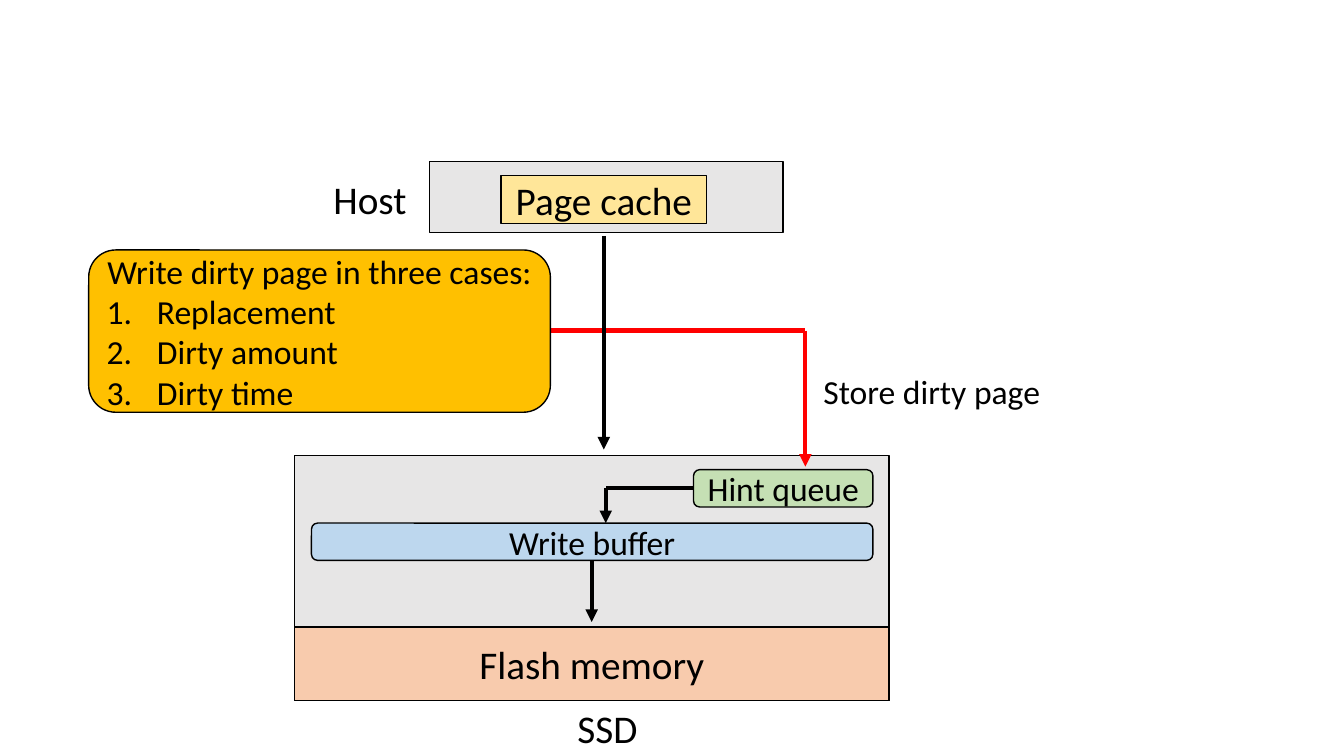
from lxml import etree
from pptx import Presentation
from pptx.dml.color import RGBColor
from pptx.enum.shapes import MSO_CONNECTOR as Connector
from pptx.enum.shapes import MSO_SHAPE as Shape
from pptx.enum.text import MSO_ANCHOR as Anchor
from pptx.enum.text import MSO_AUTO_SIZE as AutoSize
from pptx.enum.text import PP_ALIGN as Align
from pptx.oxml.ns import qn
from pptx.util import Inches, Pt

COLUMNS, ROWS = 160, 90
UNIT = Inches(13.333) / COLUMNS

BLACK = RGBColor(0x00, 0x00, 0x00)
RED = RGBColor(0xFF, 0x00, 0x00)
GREY = RGBColor(0xE7, 0xE6, 0xE6)
YELLOW = RGBColor(0xFF, 0xE6, 0x99)
AMBER = RGBColor(0xFF, 0xC0, 0x00)
BLUE = RGBColor(0xBD, 0xD7, 0xEE)
PEACH = RGBColor(0xF8, 0xCB, 0xAD)
GREEN = RGBColor(0xC5, 0xE0, 0xB4)

LARGE, MEDIUM = 28, 24
BUS_LEFT, BUS_RIGHT, BUS_ROW = 65.52, 95.88, 39.36
SSD_LEFT, SSD_WIDTH = 35.04, 70.8
HINT_LEFT, HINT_ROW = 82.56, 58.08
BUFFER_TOP, BUFFER_BOTTOM = 62.28, 66.72
DROP = 72.12


def grid(*lengths):
    return [round(length * UNIT) for length in lengths]


def apply(target, values):
    for name, value in values.items():
        setattr(target, name, value)


def write(para, text, size):
    span = para.add_run()
    span.text = text
    apply(span.font, {"name": "Calibri", "size": Pt(size)})
    span.font.color.rgb = BLACK


def add_box(page, place, fill, text="", size=LARGE, kind=Shape.RECTANGLE):
    box = page.shapes.add_shape(kind, *grid(*place))
    box.shadow.inherit = False
    box.fill.solid()
    box.fill.fore_color.rgb = fill
    box.line.color.rgb = BLACK
    box.line.width = Pt(1)
    frame = box.text_frame
    apply(frame, {"word_wrap": True, "vertical_anchor": Anchor.MIDDLE})
    if text:
        para = frame.paragraphs[0]
        para.alignment = Align.CENTER
        write(para, text, size)
    return box


def add_numbered(box, items, size):
    for item in items:
        para = box.text_frame.add_paragraph()
        para.alignment = Align.LEFT
        write(para, item, size)
        properties = para._p.get_or_add_pPr()
        properties.set("marL", str(Inches(0.5)))
        properties.set("indent", str(-Inches(0.5)))
        etree.SubElement(properties, qn("a:buFont"), typeface="+mj-lt")
        etree.SubElement(properties, qn("a:buAutoNum"), type="arabicPeriod")


def add_label(page, place, text, size):
    frame = page.shapes.add_textbox(*grid(*place)).text_frame
    apply(frame, {"word_wrap": True, "auto_size": AutoSize.SHAPE_TO_FIT_TEXT})
    write(frame.paragraphs[0], text, size)


def add_line(page, ends, color=BLACK, arrow=True):
    line = page.shapes.add_connector(Connector.STRAIGHT, *grid(*ends))
    line.line.color.rgb = color
    line.line.width = Pt(3)
    if arrow:
        etree.SubElement(line.line._get_or_add_ln(), qn("a:tailEnd"), type="triangle")
    etree.SubElement(line._element.spPr, qn("a:effectLst"))


def main():
    deck = Presentation()
    apply(deck, {"slide_width": round(COLUMNS * UNIT), "slide_height": round(ROWS * UNIT)})
    page = deck.slides.add_slide(deck.slide_layouts.get_by_name("Blank"))

    add_line(page, (BUS_LEFT, BUS_ROW, BUS_RIGHT, BUS_ROW), RED, arrow=False)
    add_box(page, (51.12, 19.2, 42.12, 8.52), GREY)
    add_label(page, (38.52, 20.28, 12.24, 6.84), "Host", LARGE)
    add_box(page, (59.64, 20.88, 24.48, 5.76), YELLOW, "Page cache")
    add_line(page, (71.88, 28.08, 71.88, 53.52))

    cases = add_box(page, (10.56, 29.76, 54.96, 19.32), AMBER,
                    "Write dirty page in three cases:", MEDIUM, Shape.ROUNDED_RECTANGLE)
    add_numbered(cases, ("Replacement", "Dirty amount", "Dirty time"), MEDIUM)

    add_box(page, (SSD_LEFT, 54.24, SSD_WIDTH, 29.16), GREY)
    add_label(page, (67.56, 83.28, 10.68, 6.84), "SSD", LARGE)
    add_line(page, (BUS_RIGHT, BUS_ROW, BUS_RIGHT, 55.56), RED)
    add_label(page, (96.84, 43.56, 31.08, 6), "Store dirty page", MEDIUM)

    add_box(page, (37.08, BUFFER_TOP, 66.84, BUFFER_BOTTOM - BUFFER_TOP), BLUE,
            "Write buffer", MEDIUM, Shape.ROUNDED_RECTANGLE)
    add_line(page, (HINT_LEFT, HINT_ROW, DROP, HINT_ROW), arrow=False)
    add_line(page, (DROP, HINT_ROW, DROP, BUFFER_TOP))
    center = SSD_LEFT + SSD_WIDTH / 2
    add_line(page, (center, BUFFER_BOTTOM, center, 74.04))
    add_box(page, (SSD_LEFT, 74.64, SSD_WIDTH, 8.76), PEACH, "Flash memory")
    add_box(page, (HINT_LEFT, 55.92, 21.36, 4.44), GREEN,
            "Hint queue", MEDIUM, Shape.ROUNDED_RECTANGLE)

    deck.save("out.pptx")


if __name__ == "__main__":
    main()
